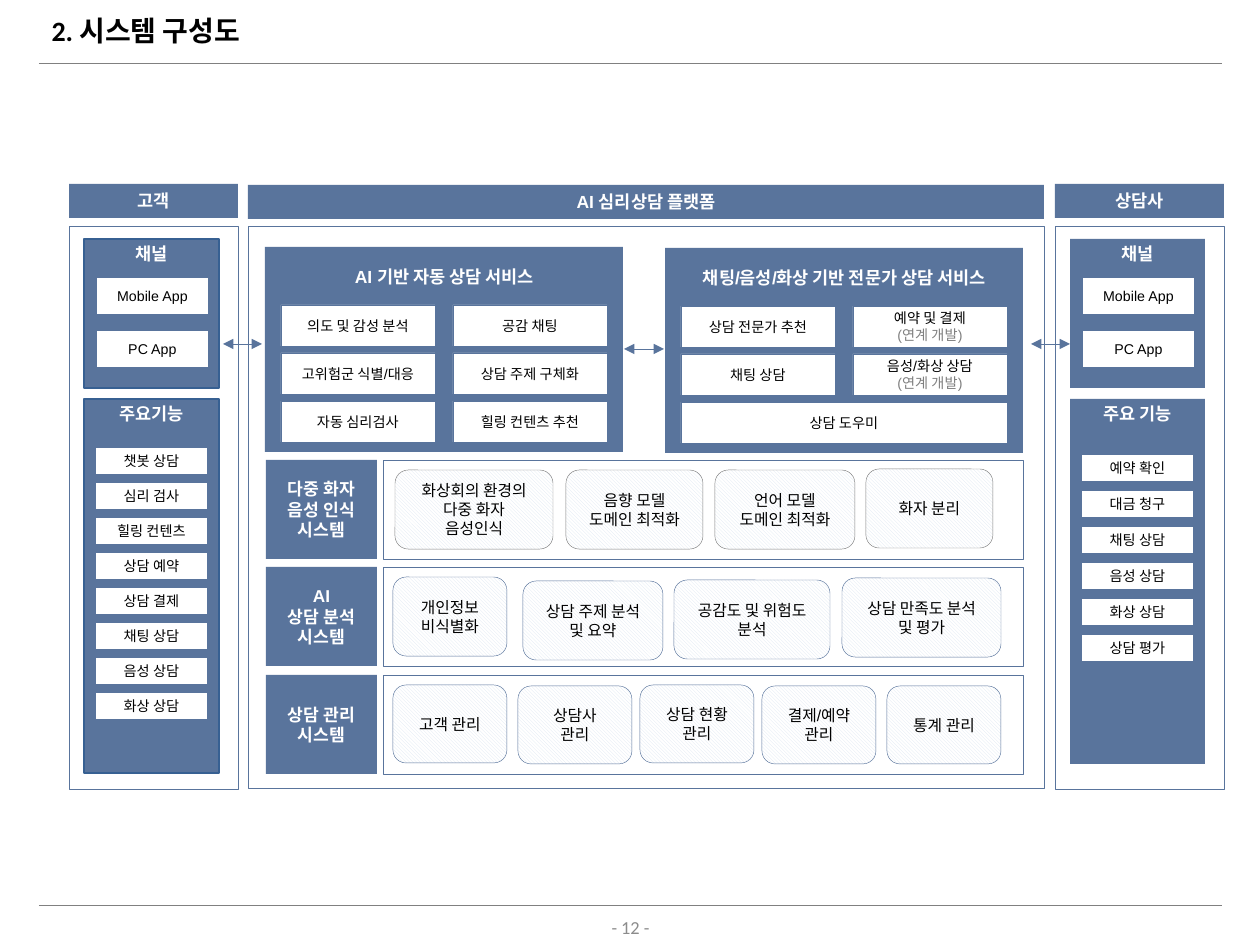
from dataclasses import dataclass
from typing import NamedTuple, Optional

from lxml.etree import SubElement
from pptx import Presentation
from pptx.dml.color import RGBColor
from pptx.enum.dml import MSO_PATTERN
from pptx.enum.shapes import MSO_CONNECTOR, MSO_SHAPE
from pptx.enum.text import MSO_ANCHOR, MSO_AUTO_SIZE, PP_ALIGN
from pptx.oxml.ns import qn
from pptx.util import Emu, Pt

PIXELS_PER_INCH = 126


@dataclass(frozen=True)
class Theme:
    blue: str = "59749C"
    edge: str = "376092"
    gray: str = "808080"
    page: str = "8C8C8C"
    hatch: str = "DCE6F2"
    white: str = "FFFFFF"
    black: str = "000000"
    title_font: str = "Calibri"
    body_font: str = "Arial"
    title_size: float = 16
    page_size: float = 10.5
    heading_size: float = 10
    label_size: float = 9.8
    card_size: float = 9
    item_size: float = 8.1
    thin: float = 0.25
    thick: float = 1


THEME = Theme()


class Box(NamedTuple):
    left: int
    top: int
    width: int
    height: int


class Style(NamedTuple):
    fill: Optional[str] = None
    line: Optional[str] = None
    line_width: float = THEME.thin
    size: float = THEME.item_size
    color: str = THEME.black
    bold: bool = False
    hatched: bool = False
    side_inset: int = 0
    top_inset: Optional[int] = None  # None centres the text vertically


class Actor(NamedTuple):
    name: str
    left: int
    panel_line: Optional[str]
    function_title: str
    function_height: int
    first_item: int
    item_pitch: int
    items: list[str]


class Service(NamedTuple):
    title: str
    left: int
    top: int
    rows: list[list[str]]


class Card(NamedTuple):
    text: str
    left: int
    top: int
    width: int


class System(NamedTuple):
    label: str
    top: int
    card_line: str
    card_height: int
    cards: list[Card]


FRAME = Style(line=THEME.blue)
HEADER = Style(fill=THEME.blue, size=THEME.heading_size, color=THEME.white, bold=True)
LABEL = HEADER._replace(size=THEME.label_size)
PANEL = HEADER._replace(top_inset=4, line_width=THEME.thick)
SERVICE = HEADER._replace(top_inset=19)
CELL = Style(fill=THEME.white, line=THEME.blue)
BUTTON = CELL._replace(line_width=THEME.thick)
CARD = Style(size=THEME.card_size, hatched=True, side_inset=14)

ACTORS = [
    Actor("고객", 69, THEME.edge, "주요기능", 374, 447, 35,
          ["챗봇 상담", "심리 검사", "힐링 컨텐츠", "상담 예약",
           "상담 결제", "채팅 상담", "음성 상담", "화상 상담"]),
    Actor("상담사", 1055, None, "주요 기능", 365, 454, 36,
          ["예약 확인", "대금 청구", "채팅 상담", "음성 상담", "화상 상담", "상담 평가"]),
]
SERVICES = [
    Service("AI 기반 자동 상담 서비스", 265, 247,
            [["의도 및 감성 분석", "공감 채팅"],
             ["고위험군 식별/대응", "상담 주제 구체화"],
             ["자동 심리검사", "힐링 컨텐츠 추천"]]),
    Service("채팅/음성/화상 기반 전문가 상담 서비스", 665, 248,
            [["상담 전문가 추천", "예약 및 결제\n(연계 개발)"],
             ["채팅 상담", "음성/화상 상담\n(연계 개발)"],
             ["상담 도우미"]]),
]
SYSTEMS = [
    System("다중 화자\n음성 인식\n시스템", 460, THEME.gray, 79,
           [Card("화상회의 환경의\n다중 화자\n음성인식", 395, 470, 158),
            Card("음향 모델\n도메인 최적화", 566, 470, 137),
            Card("언어 모델\n도메인 최적화", 715, 470, 140),
            Card("화자 분리", 866, 469, 127)]),
    System("AI\n상담 분석\n시스템", 567, THEME.blue, 79,
           [Card("개인정보\n비식별화", 393, 577, 114),
            Card("상담 주제 분석 및 요약", 523, 581, 140),
            Card("공감도 및 위험도\n분석", 674, 580, 156),
            Card("상담 만족도 분석 및 평가", 842, 578, 159)]),
    System("상담 관리\n시스템", 675, THEME.blue, 78,
           [Card("고객 관리", 393, 685, 114),
            Card("상담사\n관리", 518, 686, 114),
            Card("상담 현황\n관리", 640, 685, 114),
            Card("결제/예약\n관리", 762, 686, 114),
            Card("통계 관리", 887, 686, 114)]),
]


def px(value: int) -> Emu:
    return Emu(round(value * 914400 / PIXELS_PER_INCH))


def rgb(color: str) -> RGBColor:
    return RGBColor.from_string(color)


def add_run(paragraph, text: str, font: str, size: float, color: str, bold: bool = False) -> None:
    run = paragraph.add_run()
    run.text = text
    run.font.name, run.font.size, run.font.bold = font, Pt(size), bold
    run.font.color.rgb = rgb(color)


def add_box(slide, box: Box, style: Style, text: str = "", preset=MSO_SHAPE.RECTANGLE) -> None:
    shape = slide.shapes.add_shape(preset, *map(px, box))
    shape.shadow.inherit = False
    if style.hatched:
        shape.fill.patterned()
        shape.fill.pattern = MSO_PATTERN.LIGHT_DOWNWARD_DIAGONAL
        shape.fill.fore_color.rgb = rgb(THEME.hatch)
        shape.fill.back_color.rgb = rgb(THEME.white)
    elif style.fill:
        shape.fill.solid()
        shape.fill.fore_color.rgb = rgb(style.fill)
    else:
        shape.fill.background()
    if style.line:
        shape.line.color.rgb = rgb(style.line)
        shape.line.width = Pt(style.line_width)
    else:
        shape.line.fill.background()
    if not text:
        return
    frame = shape.text_frame
    frame.word_wrap = True
    frame.margin_left = frame.margin_right = px(style.side_inset)
    frame.margin_top, frame.margin_bottom = px(style.top_inset or 0), 0
    frame.vertical_anchor = MSO_ANCHOR.MIDDLE if style.top_inset is None else MSO_ANCHOR.TOP
    for index, line in enumerate(text.split("\n")):
        paragraph = frame.add_paragraph() if index else frame.paragraphs[0]
        paragraph.alignment = PP_ALIGN.CENTER
        color = THEME.gray if line.startswith("(") else style.color
        add_run(paragraph, line, THEME.body_font, style.size, color, style.bold)


def add_line(slide, left: int, right: int, y: int, color: str, arrows: bool = False) -> None:
    connector = slide.shapes.add_connector(
        MSO_CONNECTOR.STRAIGHT, px(left), px(y), px(right), px(y))
    connector.line.color.rgb = rgb(color)
    connector.line.width = Pt(THEME.thin)
    if arrows:
        for end in ("a:headEnd", "a:tailEnd"):
            SubElement(connector.line._get_or_add_ln(), qn(end), type="triangle")
    SubElement(connector._element.spPr, qn("a:effectLst"))


def add_actor(slide, actor: Actor) -> None:
    panel = PANEL._replace(line=actor.panel_line)
    panel_left, button_left = actor.left + 15, actor.left + 27
    add_box(slide, Box(actor.left, 184, 169, 34), HEADER, actor.name)
    add_box(slide, Box(actor.left, 226, 169, 563), FRAME)
    add_box(slide, Box(panel_left, 239, 135, 149), panel, "채널")
    for top, channel in ((277, "Mobile App"), (330, "PC App")):
        add_box(slide, Box(button_left, top, 113, 38), BUTTON, channel)
    add_box(slide, Box(panel_left, 399, 135, actor.function_height), panel, actor.function_title)
    for index, item in enumerate(actor.items):
        top = actor.first_item + index * actor.item_pitch
        add_box(slide, Box(button_left - 1, top, 113, 28), BUTTON, item)


def add_service(slide, service: Service) -> None:
    add_box(slide, Box(service.left, service.top, 358, 205), SERVICE, service.title)
    for row, cells in enumerate(service.rows):
        width = 154 if len(cells) == 2 else 326
        for column, text in enumerate(cells):
            left, top = service.left + 16 + column * 172, service.top + 58 + row * 48
            add_box(slide, Box(left, top, width, 41), CELL, text)


def add_system(slide, system: System) -> None:
    add_box(slide, Box(266, system.top, 111, 99), LABEL, system.label)
    add_box(slide, Box(383, system.top, 640, 99), FRAME)
    for card in system.cards:
        add_box(slide, Box(card.left, card.top, card.width, system.card_height),
                CARD._replace(line=system.card_line), card.text, MSO_SHAPE.ROUNDED_RECTANGLE)


def main() -> None:
    presentation = Presentation()
    presentation.slide_width, presentation.slide_height = px(1260), px(945)
    slide = presentation.slides.add_slide(presentation.slide_layouts[5])

    # Title, rules and page number
    title = slide.shapes.title
    title.left, title.top, title.width, title.height = map(px, Box(39, 8, 1183, 49))
    title.text_frame.auto_size = MSO_AUTO_SIZE.NONE
    title.text_frame.vertical_anchor = MSO_ANCHOR.MIDDLE
    paragraph = title.text_frame.paragraphs[0]
    paragraph.alignment, paragraph.line_spacing = PP_ALIGN.LEFT, 0.9
    add_run(paragraph, "2. 시스템 구성도", THEME.title_font, THEME.title_size, THEME.black, True)
    for y in (63, 905):
        add_line(slide, 39, 1222, y, THEME.gray)
    page = slide.shapes.add_textbox(*map(px, Box(489, 914, 283, 26))).text_frame
    page.word_wrap, page.vertical_anchor = True, MSO_ANCHOR.MIDDLE
    page.paragraphs[0].alignment = PP_ALIGN.CENTER
    add_run(page.paragraphs[0], "- 12 -", THEME.title_font, THEME.page_size, THEME.page)

    # Customer and counsellor columns
    for actor in ACTORS:
        add_actor(slide, actor)

    # Platform
    add_box(slide, Box(248, 185, 796, 34), HEADER, "AI 심리상담 플랫폼")
    add_box(slide, Box(248, 226, 796, 562), FRAME)
    for service in SERVICES:
        add_service(slide, service)
    for system in SYSTEMS:
        add_system(slide, system)

    # Two-way flows
    for left, right, y in ((223, 262, 344), (624, 664, 349), (1031, 1070, 344)):
        add_line(slide, left, right, y, THEME.blue, arrows=True)

    presentation.save("out.pptx")


if __name__ == "__main__":
    main()
